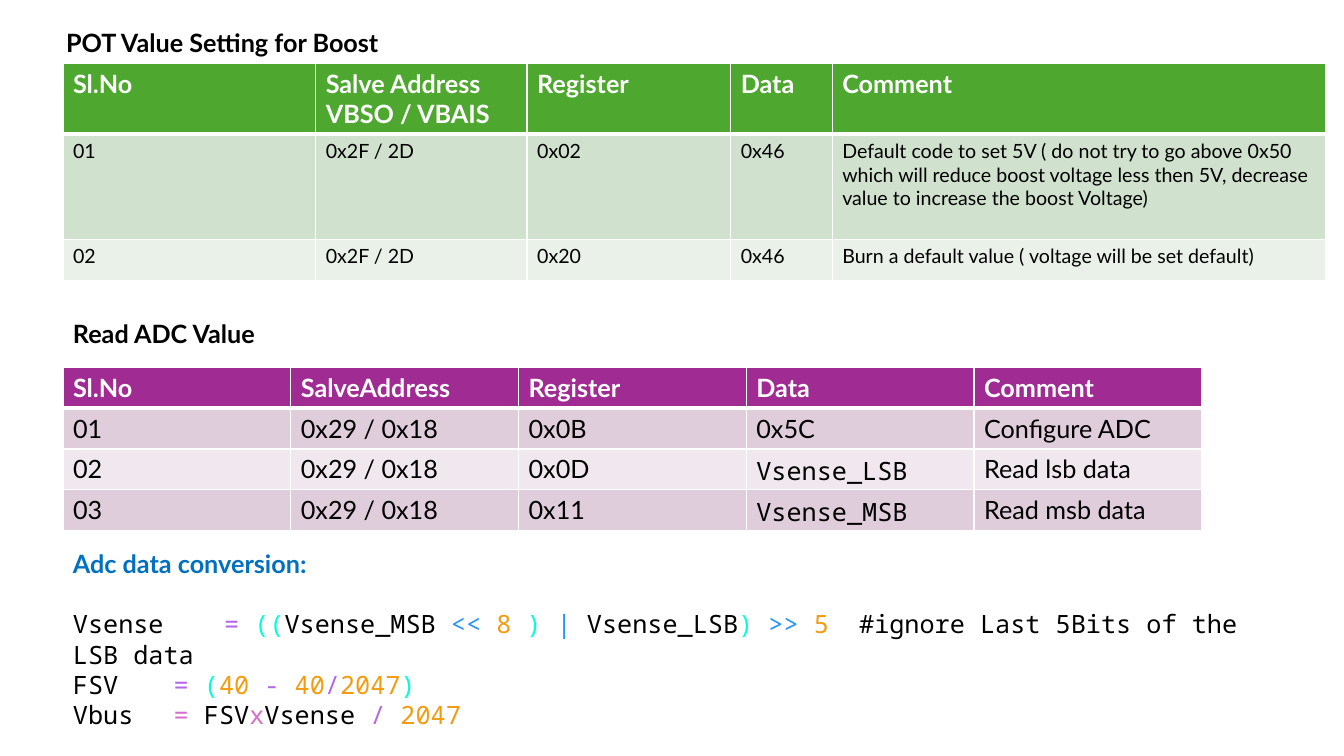
from lxml.etree import SubElement
from pptx import Presentation
from pptx.dml.color import RGBColor
from pptx.enum.text import MSO_ANCHOR, MSO_AUTO_SIZE, PP_ALIGN
from pptx.oxml.ns import qn
from pptx.util import Pt

SANS, MONO = "Lato", "Noto Sans Mono"
COLORS = {
    "white": "FFFFFF", "black": "000000", "heading": "0070C0",
    "violet": "B267E6", "pink": "D86ECC", "cyan": "00FFD9",
    "blue": "2493FA", "orange": "F39C12",
}
GREENS = {"header": "4EA72E", "odd": "D0E1CD", "even": "E9F1E8"}
PURPLES = {"header": "A02B93", "odd": "DFCDDC", "even": "F0E8EE"}

BOOST_ROWS = [
    ["Sl.No", "Salve Address VBSO / VBAIS", "Register", "Data", "Comment"],
    ["01", "0x2F / 2D", "0x02", "0x46",
     "Default code to set 5V ( do not try to go above 0x50 which will reduce "
     "boost voltage less then 5V, decrease value to increase the boost Voltage)"],
    ["02", "0x2F / 2D", "0x20", "0x46",
     "Burn a default value ( voltage will be set default)"],
]
ADC_ROWS = [
    ["Sl.No", "SalveAddress", "Register", "Data", "Comment"],
    ["01", "0x29 / 0x18", "0x0B", "0x5C", "Configure ADC"],
    ["02", "0x29 / 0x18", "0x0D", "Vsense_LSB", "Read lsb data"],
    ["03", "0x29 / 0x18", "0x11", "Vsense_MSB", "Read msb data"],
]
FORMULAS = [
    [("Vsense \t", "black"), ("=", "violet"), (" ((", "cyan"),
     ("Vsense_MSB ", "black"), ("<< ", "blue"), ("8", "orange"),
     (" ) ", "cyan"), ("| ", "blue"), ("Vsense_LSB", "black"),
     (") ", "cyan"), (">> ", "blue"), ("5  ", "orange"),
     ("#ignore Last 5Bits of the LSB data", "black")],
    [("FSV \t", "black"), ("=", "violet"), (" (", "cyan"), ("40 ", "orange"),
     ("- ", "violet"), ("40", "orange"), ("/", "violet"),
     ("2047", "orange"), (")", "cyan")],
    [("Vbus \t", "black"), ("= ", "pink"), ("FSV", "black"), ("x", "pink"),
     ("Vsense ", "black"), ("/ ", "violet"), ("2047", "orange")],
]


def write(paragraph, text, size=18, font=SANS, color="black", bold=False):
    run = paragraph.add_run()
    run.text = text
    run.font.size = Pt(size)
    run.font.name = font
    run.font.bold = bold
    run.font.color.rgb = RGBColor.from_string(COLORS[color])


def add_text_frame(slide, left, top, width, height):
    frame = slide.shapes.add_textbox(Pt(left), Pt(top), Pt(width), Pt(height)).text_frame
    frame.word_wrap = True
    return frame


def add_title(slide, text, left, top, width, height):
    title = slide.shapes.title
    title.left, title.top, title.width, title.height = map(Pt, (left, top, width, height))
    frame = title.text_frame
    frame.auto_size = MSO_AUTO_SIZE.NONE
    frame.vertical_anchor = MSO_ANCHOR.TOP
    heading = frame.paragraphs[0]
    heading.alignment = PP_ALIGN.LEFT
    write(heading, text, bold=True)


def set_borders(cell, top, bottom):
    """Draw white cell borders; top and bottom are widths in points."""
    properties = cell._tc.get_or_add_tcPr()
    for side, width in {"lnL": 1, "lnR": 1, "lnT": top, "lnB": bottom}.items():
        line = SubElement(properties, qn(f"a:{side}"), w=str(Pt(width)))
        fill = SubElement(line, qn("a:solidFill"))
        SubElement(fill, qn("a:srgbClr"), val=COLORS["white"])


def add_register_table(slide, rows, left, top, widths, heights, palette, body_size):
    table = slide.shapes.add_table(
        len(rows), len(widths), Pt(left), Pt(top), Pt(sum(widths)), Pt(sum(heights))
    ).table
    for column, width in zip(table.columns, widths):
        column.width = Pt(width)
    for r, (values, height) in enumerate(zip(rows, heights)):
        table.rows[r].height = Pt(height)
        header = r == 0
        shade = "header" if header else "odd" if r % 2 else "even"
        for c, value in enumerate(values):
            cell = table.cell(r, c)
            set_borders(cell, top=3 if r == 1 else 1, bottom=3 if header else 1)
            cell.fill.solid()
            cell.fill.fore_color.rgb = RGBColor.from_string(palette[shade])
            write(cell.text_frame.paragraphs[0], value,
                  size=18 if header else body_size,
                  font=MONO if value.startswith("Vsense") else SANS,
                  color="white" if header else "black", bold=header)


def add_conversion(slide, left, top, width, height):
    frame = add_text_frame(slide, left, top, width, height)
    write(frame.paragraphs[0], "Adc data conversion:", color="heading", bold=True)
    for i, formula in enumerate(FORMULAS):
        paragraph = frame.add_paragraph()
        if i == 0:
            paragraph.space_before = Pt(21.6)
        for text, color in formula:
            write(paragraph, text, font=MONO, color=color)


def main():
    deck = Presentation()
    deck.slide_width, deck.slide_height = Pt(960), Pt(540)
    slide = deck.slides.add_slide(deck.slide_layouts[5])

    add_title(slide, "POT Value Setting for Boost", 40, 16, 240, 29)
    add_register_table(slide, BOOST_ROWS, 45, 45.5, [180.5, 151, 145.5, 72.5, 352.5],
                       [49.5, 75, 29.2], GREENS, body_size=14)

    adc_heading = add_text_frame(slide, 45, 224, 148, 29)
    write(adc_heading.paragraphs[0], "Read ADC Value", bold=True)
    add_register_table(slide, ADC_ROWS, 45, 262.3, [162.7] * 5, [29.2] * 4,
                       PURPLES, body_size=18)

    add_conversion(slide, 45, 388, 852.5, 138)
    deck.save("out.pptx")


if __name__ == "__main__":
    main()
